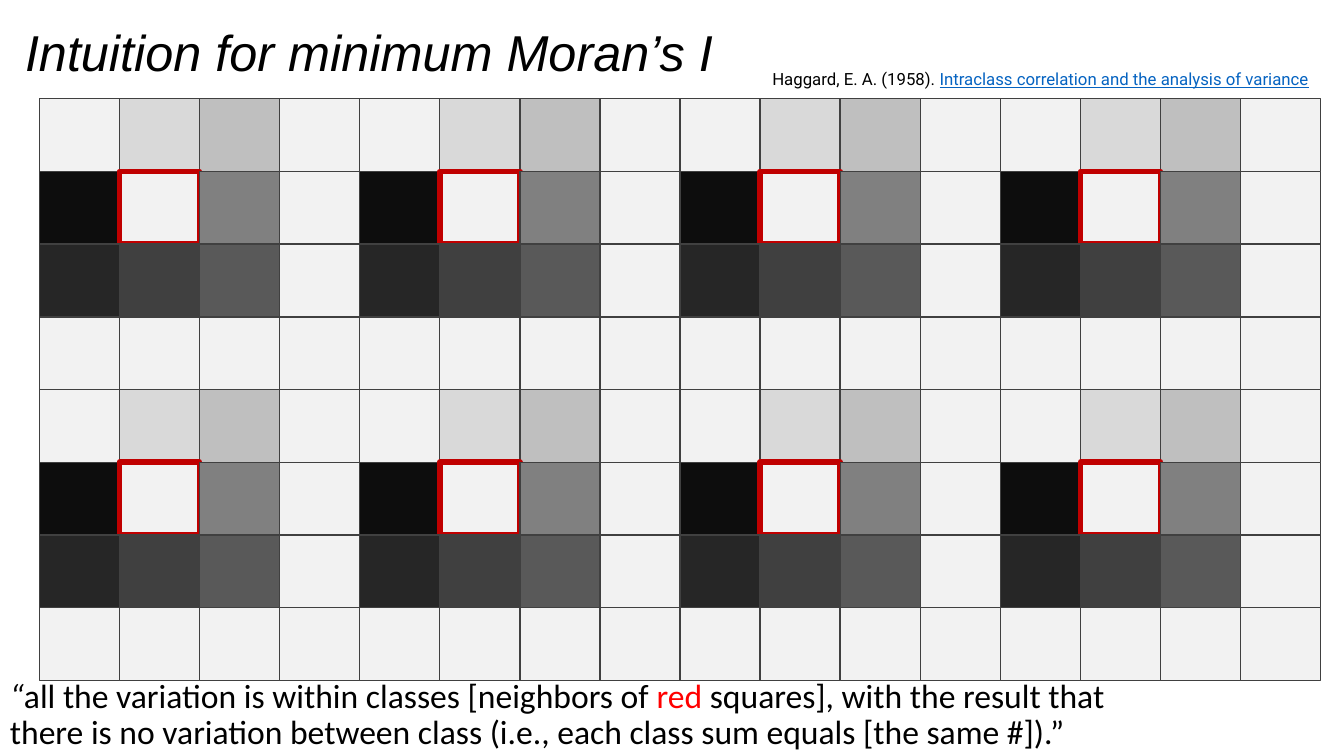
"""Build a slide showing the intuition for minimum Moran's I as a tiled grid."""
import pptx
import pptx.dml.color
import pptx.enum.shapes
import pptx.enum.text
import pptx.util
from pptx.util import Inches


def rgb(value):
    return pptx.dml.color.RGBColor.from_string(value)


def add_text(box, runs, font, size, anchor, insets=(0.1, 0.05, 0.1, 0.05)):
    tb = s.shapes.add_textbox(*map(Inches, box))
    tf = tb.text_frame
    tf.word_wrap = True
    tf.vertical_anchor = anchor
    tf.margin_left, tf.margin_top, tf.margin_right, tf.margin_bottom = map(Inches, insets)
    p = tf.paragraphs[0]
    p.font.name, p.font.size = font, pptx.util.Pt(size)
    for text, color in runs:
        r = p.add_run()
        r.text = text
        r.font.color.rgb = rgb(color)
    return p


prs = pptx.Presentation()
prs.slide_width, prs.slide_height = Inches(13.33), Inches(7.5)
s = prs.slides.add_slide(prs.slide_layouts[6])

tile = [
    ["F2F2F2", "D9D9D9", "BFBFBF", "F2F2F2"],
    ["0D0D0D", "F2F2F2", "808080", "F2F2F2"],
    ["262626", "404040", "595959", "F2F2F2"],
    ["F2F2F2", "F2F2F2", "F2F2F2", "F2F2F2"],
]
rows, cols = 8, 16
left, top = 0.39, 0.98
cell_w, cell_h = 12.71 / cols, 5.77 / rows

for row in range(rows):
    for col in range(cols):
        sp = s.shapes.add_shape(
            pptx.enum.shapes.MSO_SHAPE.RECTANGLE,
            Inches(left + col * cell_w), Inches(top + row * cell_h),
            Inches(cell_w), Inches(cell_h))
        sp.shadow.inherit = False
        sp.fill.solid()
        sp.fill.fore_color.rgb = rgb(tile[row % 4][col % 4])
        is_center = row % 4 == 1 and col % 4 == 1
        sp.line.color.rgb = rgb("C00000" if is_center else "404040")
        sp.line.width = pptx.util.Pt(4 if is_center else 1)

anchors = pptx.enum.text.MSO_ANCHOR
title = add_text((0.15, 0.2, 13.04, 0.7), [("Intuition for minimum Moran’s I", "000000")],
                 "Arial", 36, anchors.MIDDLE)
title.font.italic = True
title.line_spacing = 0.9

quote = add_text((0, 6.69, 11.27, 0.81), [
    ("“", "000000"),
    ("all the variation is within classes [neighbors of ", "000000"),
    ("red", "FF0000"),
    (" squares], with the result that there is no variation between class "
     "(i.e., each class sum equals [the same #]).”", "000000"),
], "Calibri", 24, anchors.TOP)
quote.runs[0].font.italic = True
quote.line_spacing = 0.9

citation = add_text((7.38, 0.68, 5.87, 0.27), [
    ("Haggard, E. A. (1958). ", "000000"),
    ("Intraclass correlation and the analysis of variance", "0563C1"),
], "Roboto", 12, anchors.TOP, (0.28, 0, 0, 0.07))
citation.runs[1].font.underline = True

prs.save("out.pptx")
